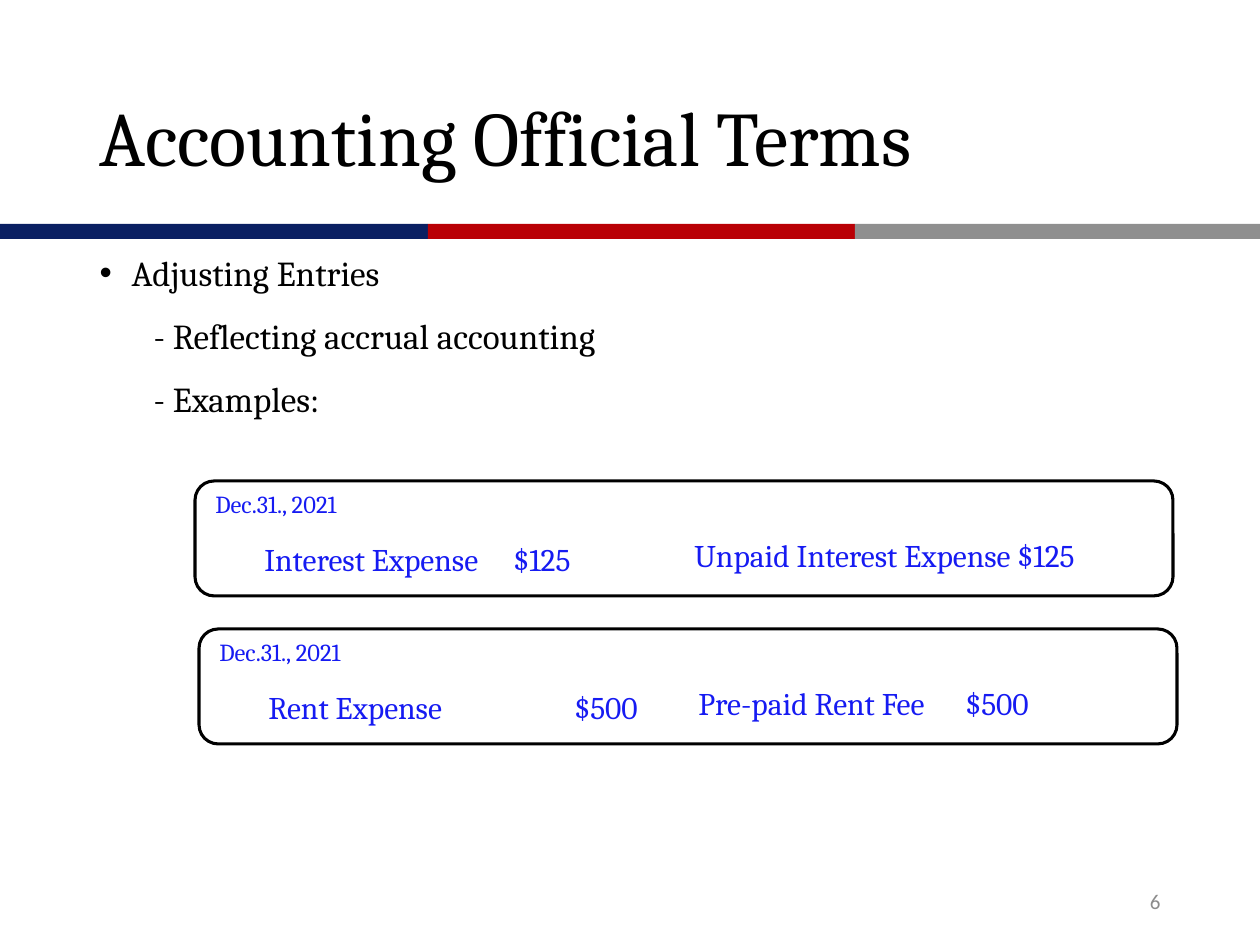
from lxml.etree import SubElement
from pptx import Presentation
from pptx.dml.color import RGBColor
from pptx.enum.shapes import MSO_SHAPE as Shape
from pptx.enum.text import MSO_ANCHOR as Anchor, MSO_AUTO_SIZE as AutoSize, PP_ALIGN as Align
from pptx.oxml.ns import qn
from pptx.util import Pt

PX = 914400 // 126
BLUE, BLACK, GRAY = "161BF2", "000000", "8C8C8C"

TITLE = "Accounting Official Terms"
# text, left margin, first-line indent, bullet
BODY = [
    ("Adjusting Entries", 32, -32, "•"),
    ("- Reflecting accrual accounting", 54, 0, None),
    ("- Examples:", 54, 0, None),
]
BANDS = [(0, 428, "0A1F62"), (428, 427, "B90005"), (855, 405, "8F8F8F")]
# Each side of an entry: text, tab stop of its amount
ENTRIES = [
    {"at": (195, 481), "date": "Dec.31., 2021",
     "debit": ("Interest Expense\t$125", 249), "credit": ("Unpaid Interest Expense $125", None)},
    {"at": (199, 629), "date": "Dec.31., 2021",
     "debit": ("Rent Expense\t$500", 306), "credit": ("Pre-paid Rent Fee\t$500", 267)},
]
PAGE_NUMBER = "6"


def px(*lengths):
    return [round(length * PX) for length in lengths]


def color(hex_value):
    return RGBColor.from_string(hex_value)


def write(paragraph, text, size, hex_value, font="Cambria", **layout):
    run = paragraph.add_run()
    run.text = text
    for name, value in {"name": font, "size": Pt(size)}.items():
        setattr(run.font, name, value)
    run.font.color.rgb = color(hex_value)
    for name, value in layout.items():
        setattr(paragraph, name, value)


def set_frame(frame, **values):
    for name, value in {"word_wrap": True, "auto_size": AutoSize.NONE, **values}.items():
        setattr(frame, name, value)


def add_label(slide, box, text, size, hex_value=BLUE, tab=None, font="Cambria",
              anchor=Anchor.TOP, **layout):
    frame = slide.shapes.add_textbox(*px(*box)).text_frame
    set_frame(frame, vertical_anchor=anchor)
    paragraph = frame.paragraphs[0]
    if tab:
        tabs = SubElement(paragraph._p.get_or_add_pPr(), qn("a:tabLst"))
        SubElement(tabs, qn("a:tab"), pos=str(tab * PX), algn="l")
    write(paragraph, text, size, hex_value, font, **layout)


def set_bullet(paragraph, margin, indent, bullet):
    properties = paragraph._p.get_or_add_pPr()
    properties.set("marL", str(margin * PX))
    properties.set("indent", str(indent * PX))
    if bullet:
        SubElement(properties, qn("a:buFont"), typeface="Arial")
        SubElement(properties, qn("a:buChar"), char=bullet)
    else:
        SubElement(properties, qn("a:buNone"))


def add_shape(slide, kind, box):
    shape = slide.shapes.add_shape(kind, *px(*box))
    shape.shadow.inherit = False
    return shape


def place(shape, *box):
    for name, value in zip(("left", "top", "width", "height"), px(*box)):
        setattr(shape, name, value)


def add_entry(slide, entry):
    left, top = entry["at"]
    frame = add_shape(slide, Shape.ROUNDED_RECTANGLE, (left, top, 978, 115))
    frame.fill.background()
    frame.line.color.rgb = color(BLACK)
    frame.line.width = Pt(1.75)
    add_label(slide, (left + 8, top + 2, 432, 43), entry["date"], 14)
    for side, x, y, width in (("debit", 57, 53, 432), ("credit", 487, 49, 445)):
        text, tab = entry[side]
        add_label(slide, (left + x, top + y, width, 50), text, 18, tab=tab)


def main():
    presentation = Presentation()
    presentation.slide_width, presentation.slide_height = px(1260, 945)
    slide = presentation.slides.add_slide(presentation.slide_layouts[1])

    for left, width, fill in BANDS:
        band = add_shape(slide, Shape.RECTANGLE, (left, 224, width, 15))
        band.fill.solid()
        band.fill.fore_color.rgb = color(fill)
        band.line.fill.background()

    title, body = slide.placeholders
    place(title, 87, 50, 1118, 183)
    set_frame(title.text_frame, vertical_anchor=Anchor.MIDDLE)
    write(title.text_frame.paragraphs[0], TITLE, 44, BLACK,
          alignment=Align.LEFT, line_spacing=0.9)

    place(body, 87, 252, 1159, 600)
    set_frame(body.text_frame)
    for index, (text, margin, indent, bullet) in enumerate(BODY):
        paragraph = body.text_frame.add_paragraph() if index else body.text_frame.paragraphs[0]
        set_bullet(paragraph, margin, indent, bullet)
        write(paragraph, text, 20, BLACK, line_spacing=Pt(20),
              space_before=Pt(10 if index else 0), space_after=Pt(6))

    for entry in ENTRIES:
        add_entry(slide, entry)
    add_label(slide, (890, 876, 283, 50), PAGE_NUMBER, 12, GRAY, font="Calibri",
              anchor=Anchor.MIDDLE, alignment=Align.RIGHT)
    presentation.save("out.pptx")


if __name__ == "__main__":
    main()
